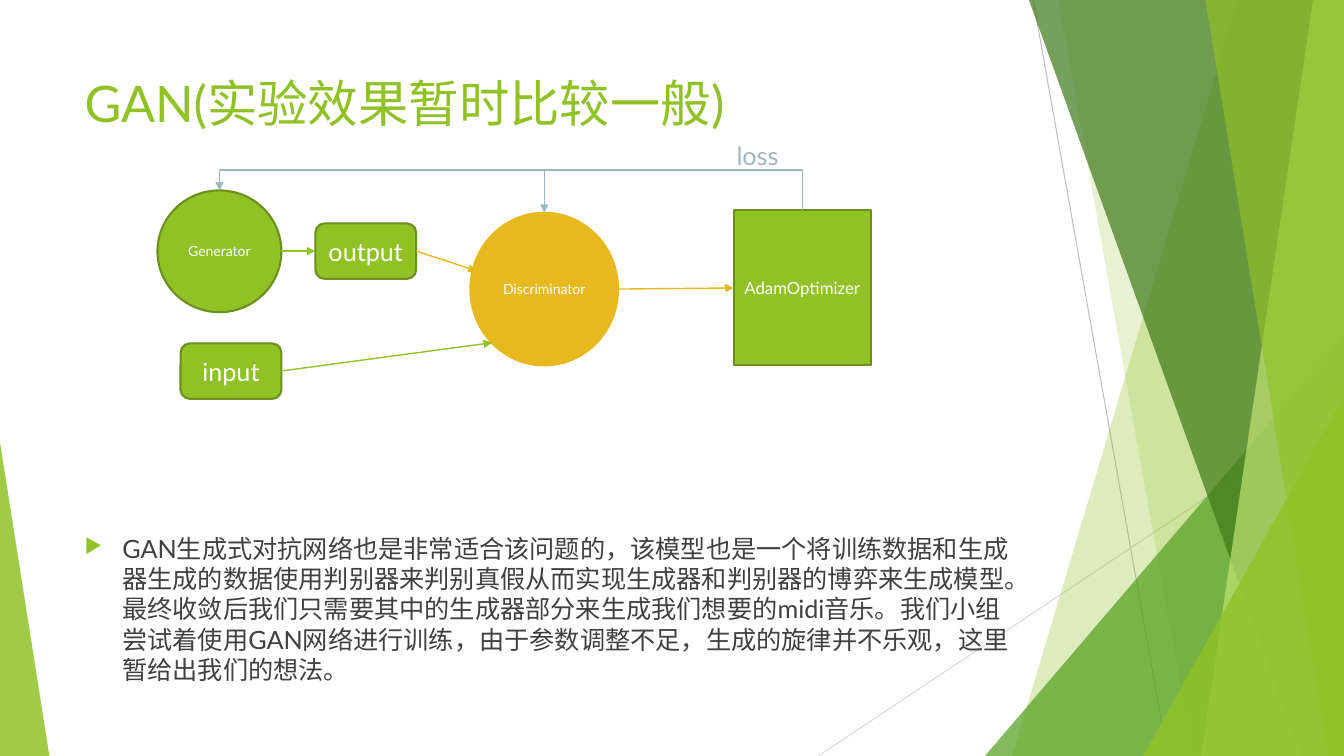
import pptx
import pptx.util
import pptx.dml.color
import pptx.enum.shapes
import pptx.enum.text
import pptx.oxml
import pptx.oxml.ns
from lxml import etree

Pt = pptx.util.Pt
qn = pptx.oxml.ns.qn
RGB = pptx.dml.color.RGBColor.from_string
SHAPE = pptx.enum.shapes.MSO_SHAPE
CONNECTOR = pptx.enum.shapes.MSO_CONNECTOR
ALIGN = pptx.enum.text.PP_ALIGN
ANCHOR = pptx.enum.text.MSO_ANCHOR
AUTO_SIZE = pptx.enum.text.MSO_AUTO_SIZE

THEME = {
    "font": "Lato", "bullet font": "Wingdings 3",
    "green": "90C226", "edge": "6B901C", "gold": "E6B91E", "blue": "9FB6C0",
    "leaf": "54A021", "forest": "3F7819", "lime": "C0E474",
    "ink": "404040", "white": "FFFFFF", "grey": "BFBFBF", "pale": "D9D9D9",
    "title": 36, "body": 18, "label": 18, "optimizer": 12, "circle": 10,
}
WIDTH, HEIGHT = 960, 540

deck = pptx.Presentation()
deck.slide_width, deck.slide_height = Pt(WIDTH), Pt(HEIGHT)
page = deck.slides.add_slide(deck.slide_layouts[6])


def write(shape, text, size, color):
    """Put one paragraph of text into a shape and return the paragraph."""
    para = shape.text_frame.paragraphs[0]
    para.text = text
    for span in para.runs:
        span.font.name = THEME["font"]
        span.font.size = Pt(THEME[size])
        span.font.color.rgb = RGB(THEME[color])
    return para


def connect(start, end, color, weight=1, arrow=True, kind=CONNECTOR.STRAIGHT):
    """Draw a connector between two points, with an optional arrowhead."""
    line = page.shapes.add_connector(kind, *map(Pt, start + end))
    line.line.color.rgb = RGB(THEME[color])
    line.line.width = Pt(weight)
    if arrow:
        etree.SubElement(line.line._get_or_add_ln(), qn("a:tailEnd"), type="triangle")
    etree.SubElement(line._element.spPr, qn("a:effectLst"))
    return line


# Background facets: outline points or a triangle's box and apex, colour, opacity
connect((738, 0), (834, HEIGHT), "grey", 0.75, arrow=False)
connect((WIDTH, 290), (584.5, HEIGHT), "pale", 0.75, arrow=False)
facets = [
    ("band", (884, 723), "green", 30),
    ("band", (756, 852), "green", 20),
    ("triangle", (703.5, 240, 256.5, 300, 1), "leaf", 72),
    ("band", (735, 929.5), "forest", 70),
    ("band", (938, 858), "lime", 70),
    ("band", (861, 949), "green", 65),
    ("triangle", (816.5, 283, 143.5, 257, 1), "green", 80),
    ("triangle", (0, 316, 35.3, 224, 0), "green", 85),
]
for kind, geometry, color, opacity in facets:
    if kind == "band":
        top_x, bottom_x = geometry
        outline = page.shapes.build_freeform(Pt(top_x), Pt(0))
        corners = [(WIDTH, 0), (WIDTH, HEIGHT), (bottom_x, HEIGHT)]
        outline.add_line_segments([(Pt(x), Pt(y)) for x, y in corners], close=True)
        facet = outline.convert_to_shape()
    else:
        facet = page.shapes.add_shape(SHAPE.ISOSCELES_TRIANGLE, *map(Pt, geometry[:4]))
        facet.adjustments[0] = geometry[4]
    facet.shadow.inherit = False
    facet.fill.solid()
    facet.fill.fore_color.rgb = RGB(THEME[color])
    facet.line.fill.background()
    tint = facet._element.spPr.find(".//" + qn("a:srgbClr"))
    etree.SubElement(tint, qn("a:alpha"), val=str(opacity * 1000))

# Title, explanation and loss label
texts = [
    ((53.3, 48, 677, 103.7), "GAN(实验效果暂时比较一般)", "title", "green", True),
    ((53.3, 377.3, 677, 117.4),
     "GAN生成式对抗网络也是非常适合该问题的，该模型也是一个将训练数据和生成器生成的数据"
     "使用判别器来判别真假从而实现生成器和判别器的博弈来生成模型。最终收敛后我们只需要其中的"
     "生成器部分来生成我们想要的midi音乐。我们小组尝试着使用GAN网络进行训练，由于参数调整"
     "不足，生成的旋律并不乐观，这里暂给出我们的想法。", "body", "ink", True),
    ((519, 96.5, 46, 29), "loss", "label", "blue", False),
]
for place, text, size, color, wrap in texts:
    box = page.shapes.add_textbox(*map(Pt, place))
    box.text_frame.word_wrap = wrap
    if not wrap:
        box.text_frame.auto_size = AUTO_SIZE.SHAPE_TO_FIT_TEXT
    para = write(box, text, size, color)
    if size == "body":
        para.space_before = Pt(10)
        settings = para._p.get_or_add_pPr()
        settings.set("marL", str(Pt(27)))
        settings.set("indent", str(Pt(-27)))
        bullet_color = etree.SubElement(settings, qn("a:buClr"))
        etree.SubElement(bullet_color, qn("a:srgbClr"), val=THEME["green"])
        etree.SubElement(settings, qn("a:buSzPct"), val="80000")
        etree.SubElement(settings, qn("a:buFont"), typeface=THEME["bullet font"], charset="2")
        etree.SubElement(settings, qn("a:buChar"), char="\uf075")

# Network nodes
nodes = [
    ("Generator", SHAPE.OVAL, (112.5, 136, 88.5, 87), "circle", "green", "edge"),
    ("Discriminator", SHAPE.OVAL, (336, 152, 105.5, 109), "circle", "gold", "gold"),
    ("input", SHAPE.ROUNDED_RECTANGLE, (129, 245.3, 72, 39.6), "label", "green", "edge"),
    ("output", SHAPE.ROUNDED_RECTANGLE, (225.3, 159.6, 72, 39.6), "label", "green", "edge"),
    ("AdamOptimizer", SHAPE.RECTANGLE, (524, 150.2, 98.2, 110.6), "optimizer", "green", "edge"),
]
for text, kind, place, size, fill, edge in nodes:
    node = page.shapes.add_shape(kind, *map(Pt, place))
    node.shadow.inherit = False
    node.fill.solid()
    node.fill.fore_color.rgb = RGB(THEME[fill])
    node.line.color.rgb = RGB(THEME[edge])
    node.line.width = Pt(1.5)
    node.text_frame.word_wrap = False
    node.text_frame.vertical_anchor = ANCHOR.MIDDLE
    write(node, text, size, "white").alignment = ALIGN.CENTER

# Forward flow
connect((201, 265), (351.4, 244.8), "green")
connect((441.5, 206.5), (524, 205.7), "gold")
connect((201, 179.4), (225.3, 179.4), "green")
connect((297.3, 179.4), (340.5, 193.5), "gold")

# Loss feedback: up from the optimizer, left, then down onto each network
start_x, start_y, rise = 573.1, 150.2, 28.8
for end_x, end_y in [(388.8, 152), (156.8, 136)]:
    feedback = connect((start_x, start_y), (end_x, end_y), "blue", kind=CONNECTOR.ELBOW)
    span_x, span_y = start_x - end_x, abs(end_y - start_y)
    feedback.left = Pt((start_x + end_x - span_y) / 2)
    feedback.top = Pt((start_y + end_y - span_x) / 2)
    feedback.width, feedback.height = Pt(span_y), Pt(span_x)
    falls = end_y > start_y
    frame = feedback._element.spPr.find(qn("a:xfrm"))
    frame.set("rot", "16200000")
    frame.set("flipV", "1")
    frame.set("flipH", "1" if falls else "0")
    bend = round((-1 if falls else 1) * rise / span_y * 100000)
    guides = feedback._element.spPr.find(".//" + qn("a:avLst"))
    etree.SubElement(guides, qn("a:gd"), name="adj1", fmla=f"val {bend}")

deck.save("out.pptx")
